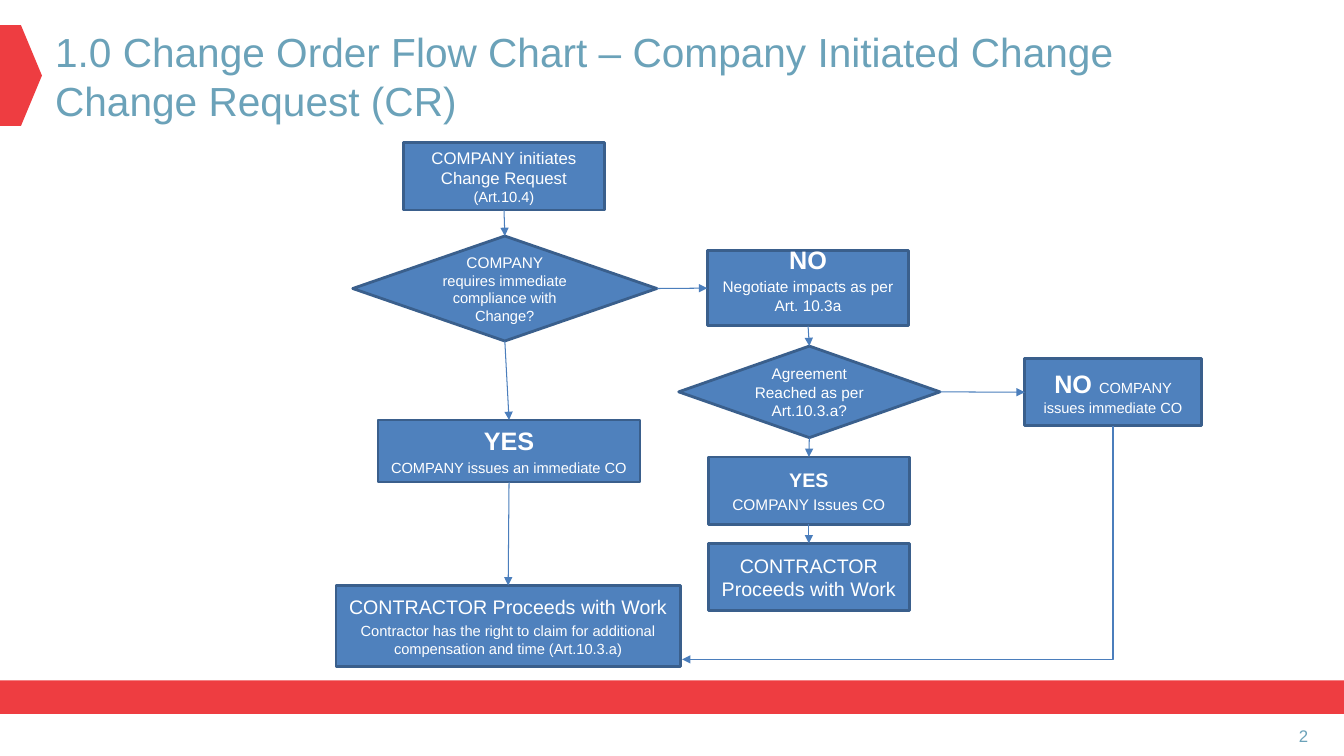
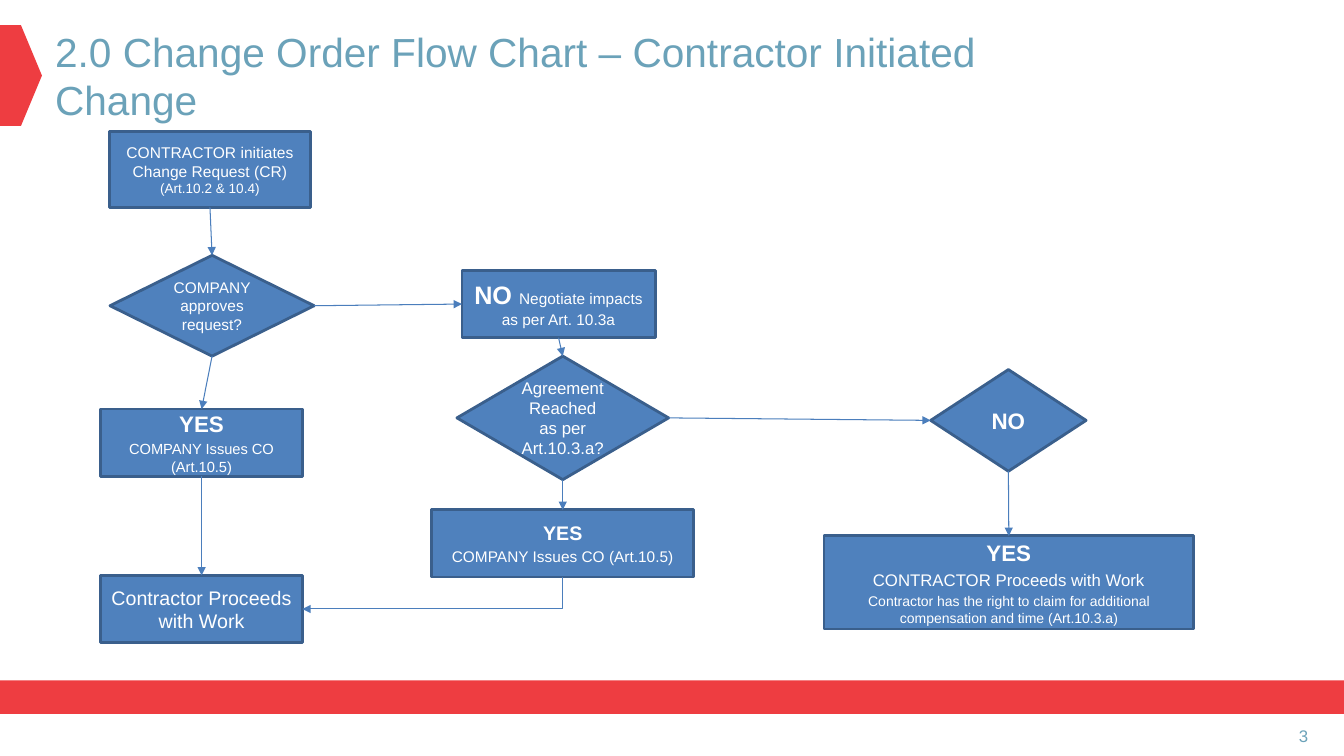
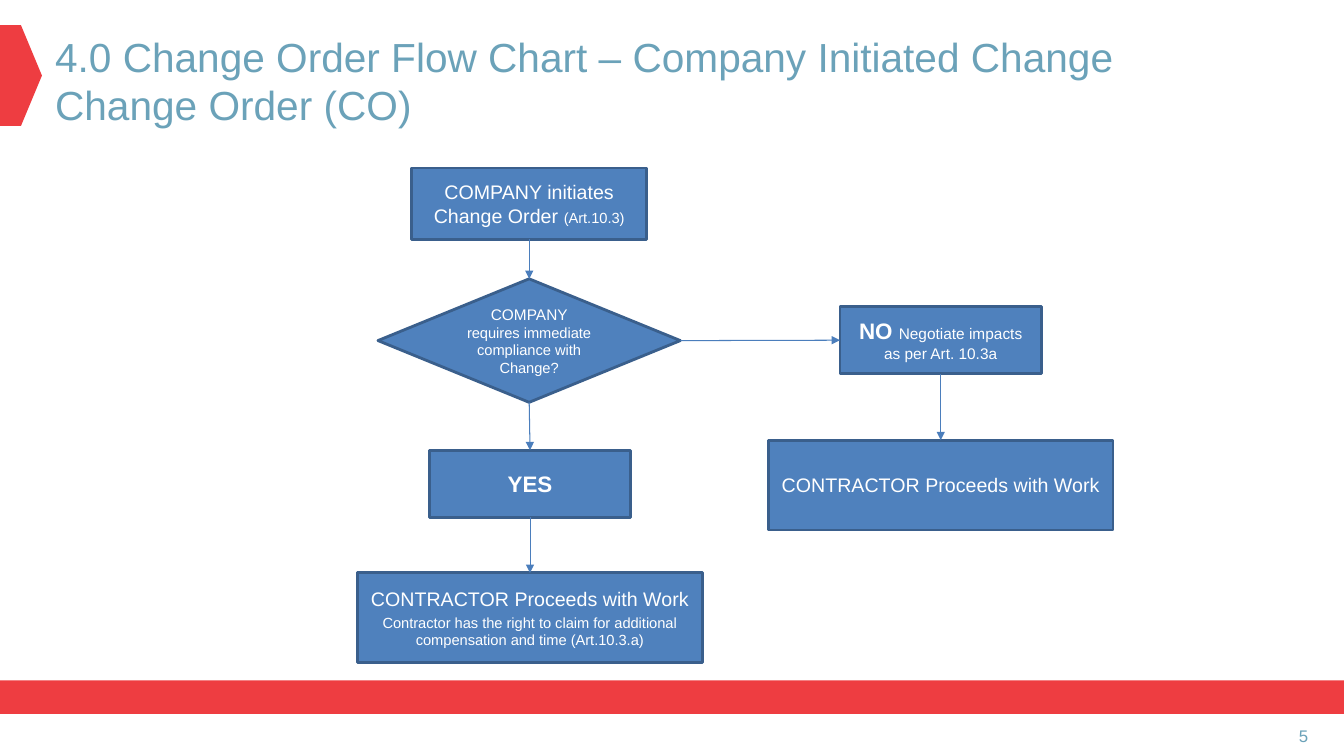
from dataclasses import dataclass
from typing import Any, NamedTuple

from lxml.etree import SubElement
from pptx import Presentation
from pptx.dml.color import RGBColor
from pptx.enum.shapes import MSO_CONNECTOR, MSO_SHAPE
from pptx.enum.text import MSO_ANCHOR, MSO_AUTO_SIZE, PP_ALIGN
from pptx.oxml.ns import qn
from pptx.util import Inches, Pt

COLS, ROWS = 160, 90
CELL = Inches(1) / 12
FONT = "Arial"
RED, TEAL, BLUE, EDGE, WIRE, WHITE = (
    "EE3D41", "6BA2B9", "4F81BD", "3A5F8C", "4B7EBC", "FFFFFF")
RECT, DIAMOND = MSO_SHAPE.RECTANGLE, MSO_SHAPE.FLOWCHART_DECISION
TOP, LEFT, BOTTOM, RIGHT = range(4)
TITLE_PAD = {"margin_left": Inches(0.13), "margin_right": Inches(0.13),
             "margin_top": Inches(0.07), "margin_bottom": Inches(0.07)}


class Run(NamedTuple):
    text: str
    size: float
    bold: bool = False


class Area(NamedTuple):
    """Left, top, width and height in grid cells."""
    col: float
    row: float
    wide: float
    high: float


@dataclass
class Box:
    area: Area
    text: list[list[Run]]
    kind: Any = RECT
    foot: float = 0.6


class Link(NamedTuple):
    start: str
    out: int
    end: str
    into: int


class Bend(NamedTuple):
    """Runs down from the bottom of a box, then left to a point."""
    start: str
    col: float
    row: float


@dataclass
class Chart:
    title: str
    area: Area
    number: int
    boxes: dict[str, Box]
    links: list[Link]
    bend: Bend | None = None


def cells(count: float) -> int:
    return round(count * CELL)


def place(area: Area) -> tuple[int, ...]:
    return tuple(cells(part) for part in area)


def rgb(code: str) -> RGBColor:
    return RGBColor.from_string(code)


def apply(item: Any, form: dict[str, Any]) -> None:
    for name, value in form.items():
        setattr(item, name, value)


def down(start: str, end: str) -> Link:
    return Link(start, BOTTOM, end, TOP)


def across(start: str, end: str) -> Link:
    return Link(start, RIGHT, end, LEFT)


def shape(slide: Any, kind: Any, area: Area, fill: str) -> Any:
    item = slide.shapes.add_shape(kind, *place(area))
    item.shadow.inherit = False
    item.fill.solid()
    item.fill.fore_color.rgb = rgb(fill)
    item.line.fill.background()
    return item


def write(para: Any, runs: list[Run], color: str, align: Any) -> None:
    para.alignment = align
    for part in runs:
        run = para.add_run()
        run.text = part.text
        apply(run.font, {"name": FONT, "size": Pt(part.size), "bold": part.bold})
        run.font.color.rgb = rgb(color)


def draw_box(slide: Any, box: Box) -> Any:
    item = shape(slide, box.kind, box.area, BLUE)
    item.line.color.rgb = rgb(EDGE)
    item.line.width = Pt(2)
    frame = item.text_frame
    apply(frame, {"word_wrap": True, "vertical_anchor": MSO_ANCHOR.MIDDLE,
                  "margin_bottom": cells(box.foot)})
    for pos, runs in enumerate(box.text):
        para = frame.add_paragraph() if pos else frame.paragraphs[0]
        write(para, runs, WHITE, PP_ALIGN.CENTER)
        if pos and box.kind == RECT:
            para.space_before = Pt(round(runs[0].size * 0.2, 1))
    return item


def wire(slide: Any, kind: Any, ends: tuple[int, ...]) -> Any:
    """Adds a thin connector with an arrowhead at its end."""
    item = slide.shapes.add_connector(kind, *ends)
    item.line.color.rgb = rgb(WIRE)
    item.line.width = Pt(0.75)
    SubElement(item.line._get_or_add_ln(), qn("a:tailEnd"), type="triangle")
    SubElement(item.element.spPr, qn("a:effectLst"))
    return item


def draw_link(slide: Any, link: Link, items: dict[str, Any]) -> None:
    item = wire(slide, MSO_CONNECTOR.STRAIGHT, (0, 0, 0, 0))
    item.begin_connect(items[link.start], link.out)
    item.end_connect(items[link.end], link.into)


def draw_bend(slide: Any, bend: Bend, area: Area) -> None:
    """Draws the two-leg connector, a preset turned by a quarter."""
    col, row = area.col + area.wide / 2, area.row + area.high
    wide, high = col - bend.col, bend.row - row
    left, top = bend.col + (wide - high) / 2, row + (high - wide) / 2
    ends = place((left, top, left + high, top + wide))
    item = wire(slide, MSO_CONNECTOR.ELBOW, ends)
    item.element.spPr.find(qn("a:prstGeom")).set("prst", "bentConnector2")
    item.element.spPr.find(qn("a:xfrm")).set("rot", str(90 * 60000))


def set_master(deck: Any) -> None:
    """Gives every title its font, colour and left alignment."""
    style = deck.slide_master.element.find(".//" + qn("p:titleStyle"))
    level = style.find(qn("a:lvl1pPr"))
    level.set("algn", "l")
    font = level.find(qn("a:defRPr"))
    font.set("sz", "2900")
    for child in list(font):
        font.remove(child)
    fill = SubElement(font, qn("a:solidFill"))
    SubElement(fill, qn("a:srgbClr"), val=TEAL)
    SubElement(font, qn("a:latin"), typeface=FONT)


def set_bands(slide: Any, layout: Any) -> None:
    """Draws the red marks, then moves them to the shared layout."""
    for kind, area in ((MSO_SHAPE.PENTAGON, Area(0, 3, 5, 12)),
                       (RECT, Area(0, 81, COLS, 4))):
        layout.shapes.element.insert(2, shape(slide, kind, area, RED).element)


def draw_chart(slide: Any, chart: Chart) -> None:
    title = slide.shapes.title
    names = ("left", "top", "width", "height")
    apply(title, dict(zip(names, place(chart.area))))
    middle = {"word_wrap": True, "vertical_anchor": MSO_ANCHOR.MIDDLE, **TITLE_PAD}
    apply(title.text_frame, {"auto_size": MSO_AUTO_SIZE.NONE, **middle})
    title.text_frame.paragraphs[0].text = chart.title

    page = slide.shapes.add_textbox(*place(Area(150.6, 85.2, 6.7, 4.8))).text_frame
    apply(page, middle)
    write(page.paragraphs[0], [Run(str(chart.number), 12)], TEAL, PP_ALIGN.RIGHT)

    items = {name: draw_box(slide, box) for name, box in chart.boxes.items()}
    for link in chart.links:
        draw_link(slide, link, items)
    if chart.bend:
        draw_bend(slide, chart.bend, chart.boxes[chart.bend.start].area)


WORK = "CONTRACTOR Proceeds with Work"
CLAIM = ("Contractor has the right to claim for additional "
         "compensation and time (Art.10.3.a)")
IMPACTS = "Negotiate impacts as per Art. 10.3a"
AGREE = "Agreement Reached as per Art.10.3.a?"
URGENT = [[Run("COMPANY ", 11),
           Run("requires immediate compliance with Change?", 10.5)]]
PROCEED = [[Run(WORK, 14)], [Run(CLAIM, 10.5)]]

CHARTS = [
    Chart(
        "1.0 Change Order Flow Chart – Company Initiated Change\nChange Request (CR)",
        Area(5, 2.4, 130, 13.3), 2,
        {
            "start": Box(Area(48, 17, 24, 8), [
                [Run("COMPANY initiates Change Request ", 12), Run("(Art.10.4)", 10.5)]]),
            "urgent": Box(Area(42, 28.1, 36.2, 12.5), URGENT, DIAMOND),
            "no": Box(Area(84.2, 29.8, 24, 9), [
                [Run("NO", 18, True)], [Run(IMPACTS, 11)]], foot=2.7),
            "agree": Box(Area(80.8, 41.2, 31.1, 10.9), [[Run(AGREE, 11)]], DIAMOND),
            "refuse": Box(Area(122, 42.7, 21, 8), [
                [Run("NO ", 18, True), Run("COMPANY issues immediate CO", 10.5)]]),
            "yes": Box(Area(45, 50, 31.2, 7.4), [
                [Run("YES", 18, True)], [Run("COMPANY issues an immediate CO", 10.5)]]),
            "issue": Box(Area(84.3, 54.4, 24, 8), [
                [Run("YES", 14, True)], [Run("COMPANY Issues CO", 11)]]),
            "done": Box(Area(84.3, 64.7, 24, 8), [[Run(WORK, 14)]]),
            "claim": Box(Area(40, 69.7, 41, 9.7), PROCEED),
        },
        [down("start", "urgent"), down("urgent", "yes"), down("yes", "claim"),
         across("urgent", "no"), down("no", "agree"), across("agree", "refuse"),
         down("agree", "issue"), down("issue", "done")],
        Bend("refuse", 81.2, 78.5),
    ),
    Chart(
        "2.0 Change Order Flow Chart – Contractor Initiated Change",
        Area(5, 2.3, 131, 13.3), 3,
        {
            "start": Box(Area(13, 15.7, 24, 9), [
                [Run("CONTRACTOR initiates Change Request (CR) ", 11.1),
                 Run("(Art.10.2 & 10.4)", 9.7)]]),
            "approve": Box(Area(13.1, 30.4, 24.3, 12), [
                [Run("COMPANY approves request?", 11)]], DIAMOND),
            "yes": Box(Area(12, 48.7, 24, 8), [
                [Run("YES", 16, True)], [Run("COMPANY Issues CO (Art.10.5)", 10.5)]]),
            "done": Box(Area(12, 68.5, 24, 8), [
                [Run("Contractor Proceeds with Work", 14)]]),
            "no": Box(Area(55, 32.2, 23, 8), [
                [Run("NO ", 18, True), Run(IMPACTS, 11)]]),
            "agree": Box(Area(54.4, 42.4, 25.2, 14.7), [[Run(AGREE, 12)]], DIAMOND),
            "issue": Box(Area(51.4, 60.7, 31.2, 8), [
                [Run("YES", 14, True)], [Run("COMPANY Issues CO (Art.10.5)", 11)]]),
            "refuse": Box(Area(110.8, 44, 18.5, 12.1), [[Run("NO", 16, True)]], DIAMOND),
            "claim": Box(Area(98.1, 63.8, 44, 11.1), [
                [Run("YES", 16, True)], [Run(WORK, 12)], [Run(CLAIM, 10)]]),
        },
        [down("start", "approve"), down("approve", "yes"), down("yes", "done"),
         across("approve", "no"), down("no", "agree"), down("agree", "issue"),
         across("agree", "refuse"), down("refuse", "claim")],
        Bend("issue", 36, 72.5),
    ),
    Chart(
        "4.0 Change Order Flow Chart – Company Initiated Change\nChange Order (CO)",
        Area(5, 2.9, 130, 13.3), 5,
        {
            "start": Box(Area(49, 20, 28, 8.5), [
                [Run("COMPANY initiates Change Order ", 14), Run("(Art.10.3)", 10.5)]]),
            "urgent": Box(Area(45, 33.2, 36, 14.7), URGENT, DIAMOND),
            "no": Box(Area(100, 36.5, 24, 8), [
                [Run("NO ", 16, True), Run(IMPACTS, 11)]]),
            "yes": Box(Area(51.1, 53.6, 24, 8), [[Run("YES", 16, True)]]),
            "claim": Box(Area(42.6, 68.2, 41, 10.7), PROCEED),
            "done": Box(Area(91.5, 52.4, 41, 10.7), [[Run(WORK, 14)]]),
        },
        [down("start", "urgent"), down("urgent", "yes"), down("yes", "claim"),
         across("urgent", "no"), down("no", "done")],
    ),
]


def main() -> None:
    deck = Presentation()
    apply(deck, {"slide_width": cells(COLS), "slide_height": cells(ROWS)})
    set_master(deck)
    layout = deck.slide_layouts[5]
    for pos, chart in enumerate(CHARTS):
        slide = deck.slides.add_slide(layout)
        if pos == 0:
            set_bands(slide, layout)
        draw_chart(slide, chart)
    deck.save("out.pptx")


if __name__ == "__main__":
    main()
